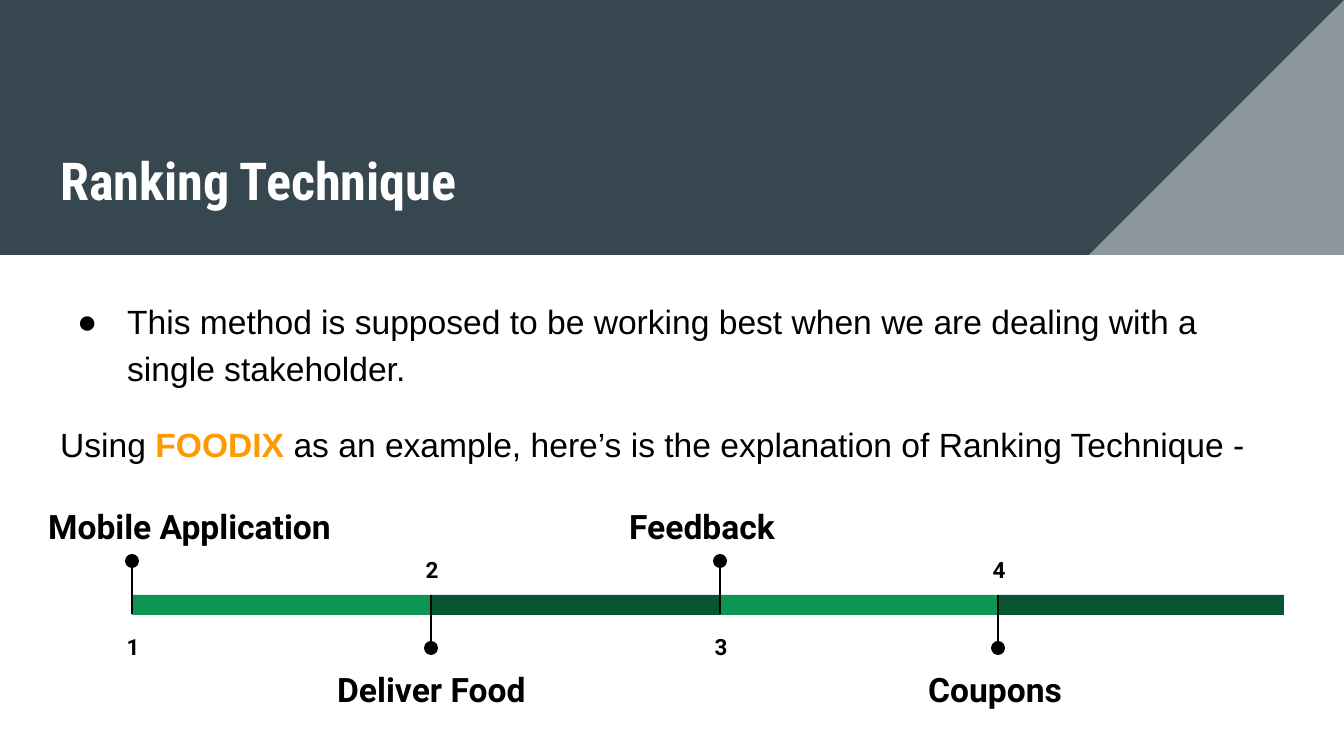
from lxml.etree import SubElement
from pptx import Presentation
from pptx.dml.color import RGBColor
from pptx.enum.shapes import MSO_CONNECTOR as CONN, MSO_SHAPE as SHAPE
from pptx.enum.text import MSO_ANCHOR as ANCHOR, PP_ALIGN as ALIGN
from pptx.oxml.ns import qn
from pptx.util import Pt

SCALE = 914400 / 134.4
SLATE, WHITE, BLACK, ORANGE = "37474F", "FFFFFF", "000000", "FF9900"
GREENS = ["0E9453", "085631"]
STOPS = [
    ("Mobile Application", 299, -97, 343),
    ("Deliver Food", 289, -107, 331),
    ("Feedback", 278, -104, 331),
    ("Coupons", 286, -83, 274),
]


def px(n):
    """Turn pixels into EMU."""
    return round(n * SCALE)


def color(target, value):
    """Set a fill or font colour from a hex string."""
    if hasattr(target, "solid"):
        target.solid()
        target = target.fore_color
    else:
        target = target.color
    target.rgb = RGBColor.from_string(value)


def add_block(s, kind, x, y, w, h, fill):
    """Add a flat preset shape without outline."""
    sp = s.shapes.add_shape(kind, px(x), px(y), px(w), px(h))
    sp.shadow.inherit = False
    sp.line.fill.background()
    color(sp.fill, fill)
    return sp


def add_line(s, x1, y1, x2, y2):
    """Add a thin black connector."""
    ln = s.shapes.add_connector(CONN.STRAIGHT, px(x1), px(y1), px(x2), px(y2))
    color(ln.line, BLACK)
    ln.line.width = Pt(0.75)
    SubElement(ln._element.spPr, qn("a:effectLst"))


def add_frame(s, x, y, w, h, anchor=ANCHOR.TOP):
    """Add a wrapping text box and return its text frame."""
    tf = s.shapes.add_textbox(px(x), px(y), px(w), px(h)).text_frame
    tf.word_wrap = True
    tf.vertical_anchor = anchor
    tf.margin_left = tf.margin_right = tf.margin_top = tf.margin_bottom = Pt(7.2)
    return tf


def write(p, text, size=18, font="Roboto", fill=BLACK, bold=True, align=None, spacing=None):
    """Append a formatted run to a paragraph."""
    r = p.add_run()
    r.text = text
    r.font.size, r.font.name, r.font.bold = Pt(size), font, bold
    color(r.font, fill)
    if align is not None:
        p.alignment = align
    if spacing is not None:
        p.line_spacing = spacing


def add_bullet(p, indent, hanging):
    """Give a paragraph a round black bullet."""
    pPr = p._p.get_or_add_pPr()
    pPr.set("marL", str(px(indent)))
    pPr.set("indent", str(-px(hanging)))
    clr = SubElement(pPr, qn("a:buClr"))
    SubElement(clr, qn("a:srgbClr"), val=BLACK)
    SubElement(pPr, qn("a:buFont"), typeface="Arial")
    SubElement(pPr, qn("a:buChar"), char="●")


def add_header(s, x, y, w, h):
    """Draw the title band with its pale corner."""
    add_block(s, SHAPE.RECTANGLE, x, y, w, h, SLATE)
    corner = add_block(s, SHAPE.RIGHT_TRIANGLE, x + w - h, y, h, h, WHITE)
    corner.rotation = 270
    clr = corner._element.spPr.find(qn("a:solidFill"))[0]
    SubElement(clr, qn("a:alpha"), val="44000")
    tf = add_frame(s, x + 47, y + 22, 771, 202, ANCHOR.BOTTOM)
    write(tf.paragraphs[0], "Ranking Technique", size=28, font="Roboto Condensed", fill=WHITE)


def add_body(s, x, y, w, h):
    """Write the bullet and the introduction of the example."""
    tf = add_frame(s, x, y, w, h)
    plain = dict(font="Arial", bold=False, spacing=1.15)
    p = tf.paragraphs[0]
    write(p, "This method is supposed to be working best when we are dealing with a "
          "single stakeholder.", **plain)
    add_bullet(p, 67, 50)
    p = tf.add_paragraph()
    p.space_before = p.space_after = Pt(16)
    write(p, "Using ", **plain)
    write(p, "FOODIX", font="Arial", fill=ORANGE)
    write(p, " as an example, here’s is the explanation of Ranking Technique -", **plain)


def add_stop(s, x, y, number, label, width, shift, label_w):
    """Draw one bar segment with its pin, number and label."""
    above = number % 2 == 1
    add_block(s, SHAPE.RECTANGLE, x, y, width, 20, GREENS[(number - 1) % 2])
    start, end = (y + 19, y - 34) if above else (y, y + 53)
    add_line(s, x, start, x, end)
    add_block(s, SHAPE.OVAL, x - 7, end - 7, 14, 14, BLACK)
    tf = add_frame(s, x - 54, y + 21 if above else y - 56, 110, 55)
    write(tf.paragraphs[0], str(number), size=12, align=ALIGN.CENTER, spacing=1.15)
    tf = add_frame(s, x + shift, y - 102 if above else y + 61, label_w, 138)
    write(tf.paragraphs[0], label)


def add_timeline(s, x, y):
    """Place the stops one after another along the bar."""
    for number, (label, width, shift, label_w) in enumerate(STOPS, 1):
        add_stop(s, x, y, number, label, width, shift, label_w)
        x += width


def main():
    """Build and save the slide."""
    prs = Presentation()
    prs.slide_width, prs.slide_height = px(1344), px(756)
    s = prs.slides.add_slide(prs.slide_layouts[6])
    add_header(s, 0, 0, 1344, 255)
    add_body(s, 47, 282, 1249, 398)
    add_timeline(s, 132, 595)
    prs.save("out.pptx")


if __name__ == "__main__":
    main()
